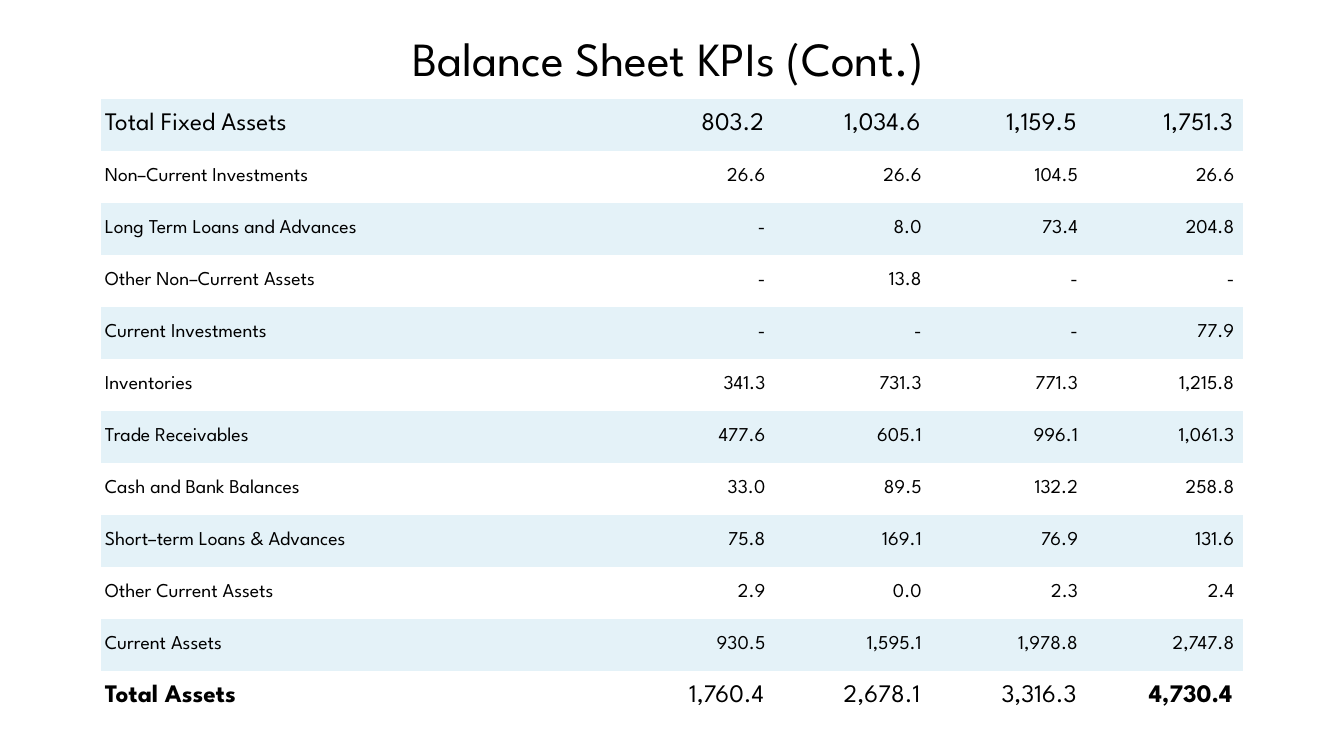
from pptx import Presentation
from pptx import util as u
from pptx.dml.color import RGBColor
from pptx.enum import text
from pptx.oxml import ns

BLACK = RGBColor(0x00, 0x00, 0x00)
WHITE = RGBColor(0xFF, 0xFF, 0xFF)
PALE_BLUE = RGBColor(0xE4, 0xF2, 0xF8)
PLAIN_TABLE_STYLE = "{2D5ABB26-0587-4C30-8999-92F81FD0307C}"

ASSETS = [
    ("Total Fixed Assets", "803.2", "1,034.6", "1,159.5", "1,751.3"),
    ("Non–Current Investments", "26.6", "26.6", "104.5", "26.6"),
    ("Long Term Loans and Advances", "-", "8.0", "73.4", "204.8"),
    ("Other Non–Current Assets", "-", "13.8", "-", "-"),
    ("Current Investments", "-", "-", "-", "77.9"),
    ("Inventories", "341.3", "731.3", "771.3", "1,215.8"),
    ("Trade Receivables", "477.6", "605.1", "996.1", "1,061.3"),
    ("Cash and Bank Balances", "33.0", "89.5", "132.2", "258.8"),
    ("Short–term Loans & Advances", "75.8", "169.1", "76.9", "131.6"),
    ("Other Current Assets", "2.9", "0.0", "2.3", "2.4"),
    ("Current Assets", "930.5", "1,595.1", "1,978.8", "2,747.8"),
    ("Total Assets", "1,760.4", "2,678.1", "3,316.3", "4,730.4"),
]


class BalanceSlide:
    font = "League Spartan"
    inset = u.Inches(0.04)

    def __init__(self, prs):
        self.s = prs.slides.add_slide(prs.slide_layouts[5])

    def add_words(self, tf, words, align, size, bold=False):
        p = tf.paragraphs[0]
        p.alignment = align
        r = p.add_run()
        r.text = words
        style = {"name": self.font, "size": u.Pt(size), "bold": bold}
        for name, value in style.items():
            setattr(r.font, name, value)
        r.font.color.rgb = BLACK

    def title(self, words, left, top, width, height):
        sp = self.s.shapes.title
        box = {"left": left, "top": top, "width": width, "height": height}
        for name, value in box.items():
            setattr(sp, name, u.Inches(value))
        tf = sp.text_frame
        frame = {
            "word_wrap": True,
            "vertical_anchor": text.MSO_ANCHOR.TOP,
            "auto_size": text.MSO_AUTO_SIZE.SHAPE_TO_FIT_TEXT,
        }
        for name, value in frame.items():
            setattr(tf, name, value)
        self.add_words(tf, words, text.PP_ALIGN.CENTER, 34)

    def cell(self, cell, words, fill, align, size, bold):
        layout = {
            "margin_left": self.inset,
            "margin_right": self.inset,
            "margin_top": self.inset,
            "margin_bottom": self.inset,
            "vertical_anchor": text.MSO_ANCHOR.MIDDLE,
        }
        for name, value in layout.items():
            setattr(cell, name, value)
        cell.fill.solid()
        cell.fill.fore_color.rgb = fill
        self.add_words(cell.text_frame, words, align, size, bold)

    def table(self, rows, left, top, widths, height):
        box = [u.Inches(v) for v in (left, top, sum(widths), height)]
        table = self.s.shapes.add_table(len(rows), len(widths), *box).table
        table.first_row = table.horz_banding = False
        style_id = table._tbl.tblPr.find(ns.qn("a:tableStyleId"))
        style_id.text = PLAIN_TABLE_STYLE
        for column, width in zip(table.columns, widths):
            column.width = u.Inches(width)

        last_row, last_col = len(rows) - 1, len(widths) - 1
        for i, row in enumerate(rows):
            table.rows[i].height = u.Inches(height / len(rows))
            fill = WHITE if i % 2 else PALE_BLUE
            size = 18 if i in (0, last_row) else 14
            for j, value in enumerate(row):
                # Figures keep one space clear of the right edge
                words = f"{value} " if j else value
                align = text.PP_ALIGN.RIGHT if j else text.PP_ALIGN.LEFT
                bold = i == last_row and j in (0, last_col)
                self.cell(table.cell(i, j), words, fill, align, size, bold)


def main():
    prs = Presentation()
    prs.slide_width = u.Inches(13.33)
    prs.slide_height = u.Inches(7.5)
    slide = BalanceSlide(prs)

    # Heading
    slide.title("Balance Sheet KPIs (Cont.)", 1.84, 0.24, 9.57, 0.67)

    # Asset figures: one label column and four equal value columns
    slide.table(ASSETS, 1, 0.98, [5.13] + [1.55] * 4, 6.19)

    prs.save("out.pptx")


if __name__ == "__main__":
    main()
